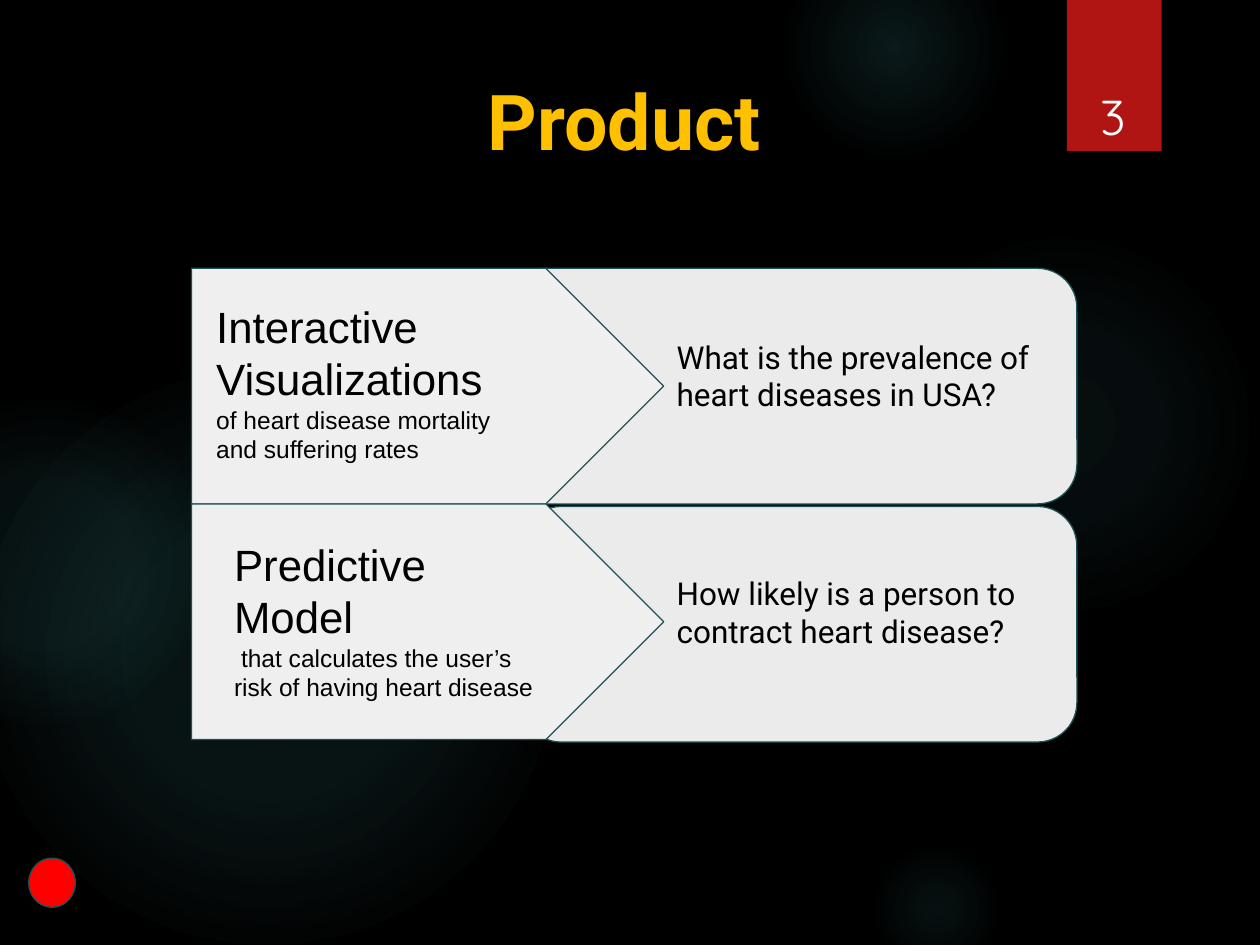
from lxml.etree import SubElement
from pptx import Presentation
from pptx.dml.color import RGBColor
from pptx.enum.shapes import MSO_SHAPE
from pptx.enum.text import MSO_ANCHOR, PP_ALIGN
from pptx.oxml.ns import qn
from pptx.util import Cm, Pt

EDGE = "1E5155"
GLOW = "50B9C1"
PAD = 0.25
# left, top, size, then (stop, opacity) pairs in percent
GLOWS = [
    (17.5, 4.65, 7.82, [(0, 7), (36, 6), (69, 0)]),
    (15.8, -1.27, 4.45, [(0, 14), (36, 7), (73, 0)]),
    (17.5, 16.94, 2.74, [(0, 9), (36, 5), (66, 0)]),
    (-0.43, 7.42, 11.63, [(0, 11), (36, 10), (75, 0)]),
    (-2.34, 8.05, 6.55, [(0, 8), (36, 8), (72, 0)]),
]


def color(code):
    return RGBColor.from_string(code)


def add_form(slide, kind, box, fill=None, line=None, adj=None):
    form = slide.shapes.add_shape(kind, *map(Cm, box))
    form.shadow.inherit = False
    if fill:
        form.fill.solid()
        form.fill.fore_color.rgb = color(fill)
    if line:
        form.line.color.rgb = color(line)
        form.line.width = Pt(0.75)
    else:
        form.line.fill.background()
    if adj is not None:
        form.adjustments[0] = adj
    return form


def add_glow(slide, left, top, size, stops):
    """Soft disc that fades out from its centre."""
    disc = add_form(slide, MSO_SHAPE.OVAL, (left, top, size, size))
    disc.fill.gradient()
    grad = disc.fill._xPr.find(qn("a:gradFill"))
    for part in list(grad):
        grad.remove(part)
    ramp = SubElement(grad, qn("a:gsLst"))
    for pos, alpha in stops:
        stop = SubElement(ramp, qn("a:gs"), pos=str(pos * 1000))
        tint = SubElement(stop, qn("a:srgbClr"), val=GLOW)
        SubElement(tint, qn("a:alpha"), val=str(alpha * 1000))
    way = SubElement(grad, qn("a:path"), path="circle")
    SubElement(way, qn("a:fillToRect"), l="50000", t="50000", r="50000", b="50000")


def add_text(slide, box, anchor, pad):
    """Empty text frame; pad is left, top, right, bottom."""
    frame = slide.shapes.add_textbox(*map(Cm, box)).text_frame
    frame.word_wrap = True
    frame.vertical_anchor = anchor
    (frame.margin_left, frame.margin_top,
     frame.margin_right, frame.margin_bottom) = map(Cm, pad)
    return frame


def add_run(para, text, size, font, code="000000", bold=False):
    run = para.add_run()
    run.text = text
    run.font.size = Pt(size)
    run.font.name = font
    run.font.bold = bold
    run.font.color.rgb = color(code)


def add_panel(slide, left, top, query, mid):
    """Rounded panel with a question centred at height mid."""
    add_form(slide, MSO_SHAPE.ROUNDED_RECTANGLE,
             (left, top, 21.71 - left, 4.75), "EBEBEB", EDGE, 0.167)
    frame = add_text(slide, (13.39, mid - 1.35, 8.33, 2.7), MSO_ANCHOR.MIDDLE, [PAD] * 4)
    para = frame.paragraphs[0]
    para.space_before = Pt(8)
    add_run(para, query, 18, "Roboto")


def add_arrow(slide, top, spot, name, note, indent):
    """Pentagon with a name and a smaller note, written at spot."""
    add_form(slide, MSO_SHAPE.PENTAGON, (3.86, top, 9.52, 4.75), "EFEFEF", EDGE, 0.5)
    frame = add_text(slide, (*spot, 6.93, 3.89), MSO_ANCHOR.TOP, [PAD] * 4)
    add_run(frame.paragraphs[0], name, 25, "Arial")
    para = frame.add_paragraph()
    para._p.get_or_add_pPr().set("indent", str(Cm(indent)))
    add_run(para, note, 14, "Arial")


def add_label(slide, box, pad, text, size, font, code, bold=False):
    """Centred line resting on the bottom of its box."""
    para = add_text(slide, box, MSO_ANCHOR.BOTTOM, pad).paragraphs[0]
    para.alignment = PP_ALIGN.CENTER
    add_run(para, text, size, font, code, bold)
    return para


def main():
    deck = Presentation()
    deck.slide_width, deck.slide_height = Cm(25.4), Cm(19.05)
    slide = deck.slides.add_slide(deck.slide_layouts[6])
    back = slide.background.fill
    back.solid()
    back.fore_color.rgb = color("000000")

    for glow in GLOWS:
        add_glow(slide, *glow)
    add_form(slide, MSO_SHAPE.RECTANGLE, (21.51, 0, 1.91, 3.05), "B01513")
    add_label(slide, (21.56, 0.81, 1.75, 2.13), [0] * 4, "3", 28, "Quicksand", "FFFFFF")

    add_panel(slide, 10.19, 5.41, "What is the prevalence of heart diseases in USA?", 7.57)
    add_panel(slide, 10.52, 10.21, "How likely is a person to contract heart disease?", 12.33)
    add_arrow(slide, 5.41, (4.11, 5.79), "Interactive Visualizations",
              "of heart disease mortality and suffering rates", 0)
    add_arrow(slide, 10.16, (4.47, 10.59), "Predictive Model",
              "that calculates the user’s risk of having heart disease", 0.14)

    add_form(slide, MSO_SHAPE.OVAL, (0.58, 17.3, 0.94, 0.99), "FF0000", EDGE)
    title = add_label(slide, (8.51, 1.3, 8.15, 2.18), (0, 0, 0, 0.13),
                      "Product", 44, "Roboto", "FFC000", True)
    title.line_spacing = 1.06
    deck.save("out.pptx")


if __name__ == "__main__":
    main()
